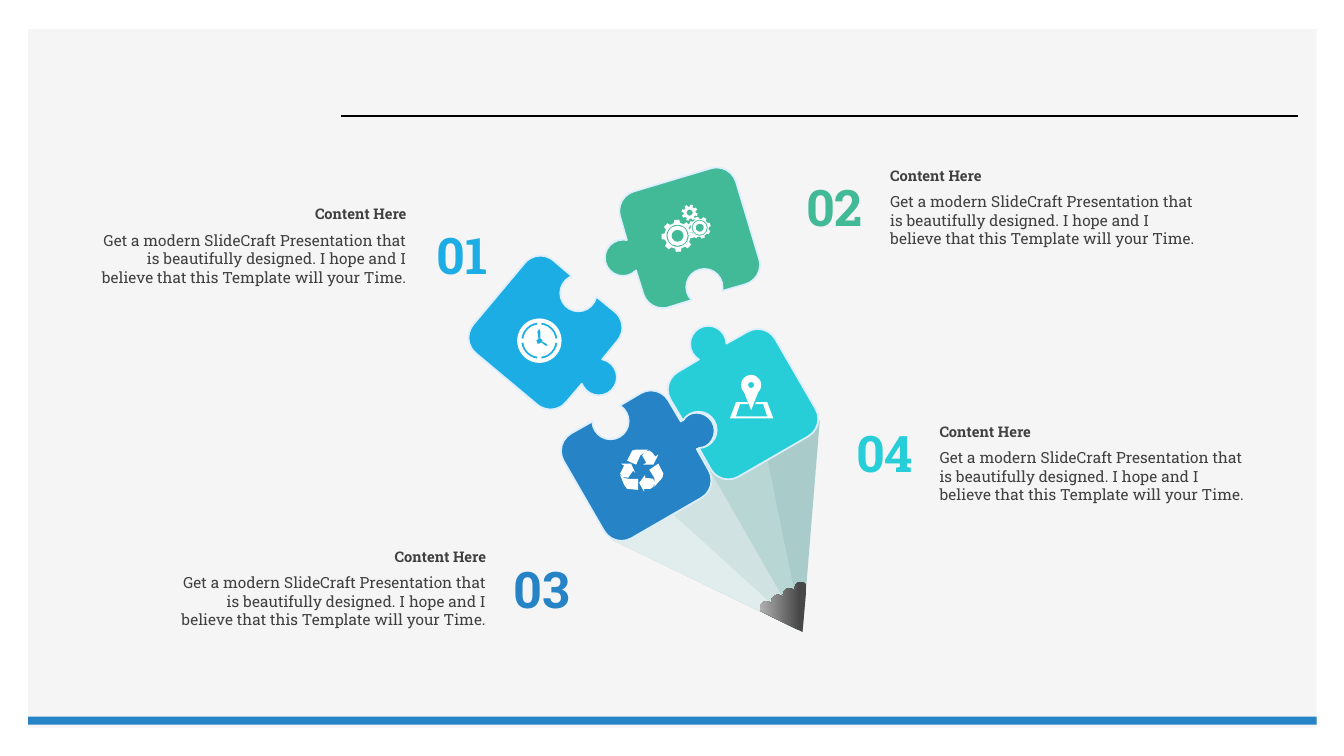
import math
import pptx
import pptx.util
import pptx.dml.color
import pptx.enum.shapes
import pptx.enum.text
import pptx.oxml

Inches, Pt = pptx.util.Inches, pptx.util.Pt
RGBColor = pptx.dml.color.RGBColor
ALIGN, ANCHOR = pptx.enum.text.PP_ALIGN, pptx.enum.text.MSO_ANCHOR
NS = 'xmlns:a="http://schemas.openxmlformats.org/drawingml/2006/main"'

WHITE = RGBColor(0xFF, 0xFF, 0xFF)
BLACK = RGBColor(0, 0, 0)
PANEL = RGBColor(0xF5, 0xF5, 0xF5)
INK = RGBColor(0x40, 0x40, 0x40)
EDGE = RGBColor(0xDD, 0xEF, 0xFF)
SKY = RGBColor(0x1C, 0xAD, 0xE4)
GREEN = RGBColor(0x42, 0xBA, 0x97)
BLUE = RGBColor(0x26, 0x83, 0xC6)
AQUA = RGBColor(0x27, 0xCE, 0xD7)
DARK = RGBColor(0x47, 0x47, 0x47)
LIGHT = RGBColor(0xB0, 0xB0, 0xB0)
FONT = "Roboto Slab"

HEAD = "Content Here"
BODY = ("Get a modern SlideCraft Presentation that is beautifully designed. "
        "I hope and I believe that this Template will your Time.")

# number, colour, piece centre, piece angle, number corner, text corner, text width, alignment
STEPS = [
    ("01", SKY, (5.41, 3.3), 39.9, (4.13, 2.17), (0.88, 1.98), 3.25, ALIGN.RIGHT),
    ("02", GREEN, (6.84, 2.36), 163.3, (7.82, 1.69), (8.73, 1.6), 3.22, ALIGN.LEFT),
    ("03", BLUE, (6.31, 4.62), -30, (4.92, 5.48), (1.67, 5.38), 3.25, ALIGN.RIGHT),
    ("04", AQUA, (7.37, 4.01), -120, (8.32, 4.13), (9.22, 4.14), 3.22, ALIGN.LEFT),
]
# Arcs of a piece with its tab to the right and notch on top: centre, radius, start, end
PIECE = [
    ((-0.4, -0.4), 0.2, 180, 270), ((0, -0.51), 0.18, 209, -29),
    ((0.4, -0.4), 0.2, 270, 360), ((0.69, 0), 0.18, 241, 479),
    ((0.4, 0.4), 0.2, 0, 90), ((-0.4, 0.4), 0.2, 90, 180),
]

# Pencil wood: far edge of each layer, from back to front
BASE, NEAR, TIP = (5.92, 5.08), (6.08, 5.36), (7.96, 6.27)
WOOD = [
    (RGBColor(0xA9, 0xCC, 0xCA), [(7.96, 3.9), (8.13, 4.18)]),
    (RGBColor(0xB8, 0xD6, 0xD4), [(7.46, 4.19), (7.58, 4.4)]),
    (RGBColor(0xD0, 0xE3, 0xE2), [(6.94, 4.49), (7.06, 4.7)]),
    (RGBColor(0xE0, 0xED, 0xEC), [(6.42, 4.79), (6.55, 4.99)]),
]

# Gears: centre, tip radius, root radius, tilt, inner circles
GEARS = [
    ((6.72, 2.34), 0.16, 0.13, -3, (0.11, 0.1, 0.06)),
    ((6.94, 2.26), 0.11, 0.09, -18, (0.08, 0.07, 0.04)),
    ((6.84, 2.11), 0.08, 0.06, 15, (0.03,)),
]
CLOCK = (5.35, 3.38)
HANDS = [(5.35, 3.26), (5.33, 3.29), (5.34, 3.36), (5.32, 3.38), (5.33, 3.41),
         (5.35, 3.41), (5.37, 3.4), (5.41, 3.43), (5.44, 3.43), (5.42, 3.41),
         (5.38, 3.39), (5.38, 3.37), (5.36, 3.36), (5.36, 3.29)]
PIN = (7.45, 3.82)
MAP = [(7.3, 3.99), (7.41, 3.99), (7.42, 4.01), (7.34, 4.01), (7.3, 4.13), (7.61, 4.13),
       (7.57, 4.01), (7.49, 4.01), (7.5, 3.99), (7.61, 3.99), (7.67, 4.15), (7.24, 4.15)]
CYCLE = [
    [(6.4, 4.71), (6.4, 4.74), (6.48, 4.75), (6.49, 4.79), (6.48, 4.83), (6.45, 4.85),
     (6.39, 4.85), (6.39, 4.88), (6.34, 4.79)],
    [(6.15, 4.71), (6.19, 4.74), (6.23, 4.75), (6.33, 4.75), (6.33, 4.86), (6.22, 4.85),
     (6.19, 4.81)],
    [(6.53, 4.6), (6.58, 4.7), (6.57, 4.74), (6.49, 4.83), (6.49, 4.74), (6.44, 4.66)],
    [(6.16, 4.6), (6.26, 4.6), (6.3, 4.69), (6.28, 4.67), (6.23, 4.74), (6.18, 4.73),
     (6.15, 4.7), (6.19, 4.62)],
    [(6.44, 4.47), (6.47, 4.49), (6.5, 4.53), (6.53, 4.51), (6.48, 4.61), (6.38, 4.61),
     (6.41, 4.59), (6.37, 4.52), (6.4, 4.48)],
    [(6.31, 4.46), (6.43, 4.46), (6.35, 4.52), (6.31, 4.61), (6.22, 4.57), (6.27, 4.47)],
]

deck = pptx.Presentation()
deck.slide_width, deck.slide_height = Inches(13.33), Inches(7.5)
slide = deck.slides.add_slide(deck.slide_layouts[6])
shapes = slide.shapes


def polar(mid, size, turn):
    rad = math.radians(turn)
    return mid[0] + size * math.cos(rad), mid[1] + size * math.sin(rad)


def arc(mid, size, start, end):
    # Split at each quarter turn, so that the nodes span the full extent
    low, high = min(start, end), max(start, end)
    cuts = [a for a in range(-360, 1080, 90) if low < a < high]
    turns = [start] + (cuts if end > start else cuts[::-1]) + [end]
    return [polar(mid, size, start)] + [
        (*polar(mid, size, b), size, a % 360, b - a) for a, b in zip(turns, turns[1:])]


def ring(mid, size):
    return arc(mid, size, 0, 360)


def draw(loops, fill=None):
    pen = None
    for loop in loops:
        dots = [(Inches(node[0]), Inches(node[1])) for node in loop]
        if pen is None:
            pen = shapes.build_freeform(*dots[0], scale=1.0)
        else:
            pen.move_to(*dots[0])
        pen.add_line_segments(dots[1:], close=True)
    shape = pen.convert_to_shape()
    # Nodes that carry a radius become true arcs
    steps = shape._element.xpath(".//a:moveTo | .//a:lnTo")
    for step, node in zip(steps, [node for loop in loops for node in loop]):
        if len(node) > 2:
            size, start, sweep = Inches(node[2]), round(node[3] * 60000), round(node[4] * 60000)
            step.getparent().replace(step, pptx.oxml.parse_xml(
                f'<a:arcTo {NS} wR="{size}" hR="{size}" stAng="{start}" swAng="{sweep}"/>'))
    shape.shadow.inherit = False
    shape.line.fill.background()
    if fill is not None:
        shape.fill.solid()
        shape.fill.fore_color.rgb = fill
    return shape


def piece(mid, turn):
    return [node for (x, y), size, start, end in PIECE
            for node in arc(polar(mid, math.hypot(x, y), math.degrees(math.atan2(y, x)) + turn),
                            size, start + turn, end + turn)]


def gear(mid, tip, root, tilt, holes):
    teeth = [polar(mid, size, tilt + 45 * i + turn) for i in range(8)
             for size, turn in ((root, -14), (tip, -9), (tip, 9), (root, 14))]
    return [teeth] + [ring(mid, size) for size in holes]


def bar(left, top, width, height, fill):
    box = shapes.add_shape(pptx.enum.shapes.MSO_SHAPE.RECTANGLE, Inches(left), Inches(top),
                           Inches(width), Inches(height))
    box.shadow.inherit = False
    box.fill.solid()
    box.fill.fore_color.rgb = fill
    box.line.fill.background()


def write(text, left, top, width, height, size, ink, bold, align, anchor=ANCHOR.MIDDLE):
    frame = shapes.add_textbox(Inches(left), Inches(top), Inches(width), Inches(height)).text_frame
    frame.word_wrap = True
    frame.vertical_anchor = anchor
    para = frame.paragraphs[0]
    para.text, para.alignment = text, align
    para.font.name, para.font.size, para.font.bold = FONT, Pt(size), bold
    para.font.color.rgb = ink


# Backdrop
bar(0.28, 0.29, 12.78, 6.93, PANEL)
rule = shapes.add_connector(pptx.enum.shapes.MSO_CONNECTOR.STRAIGHT,
                            Inches(3.38), Inches(1.15), Inches(12.87), Inches(1.15))
rule.line.color.rgb, rule.line.width = BLACK, Pt(1)
rule._element.spPr.append(pptx.oxml.parse_xml(f"<a:effectLst {NS}/>"))
bar(0.28, 7.11, 12.78, 0.08, BLUE)

# Pencil wood and lead
for fill, far in WOOD:
    draw([[BASE, *far, TIP, NEAR]], fill)
bumps = [node for i in range(4)
         for node in arc((7.6 + 0.115 * i, 6.03 - 0.065 * i), 0.065, 150, 330)]
lead = draw([bumps + [TIP]])
lead.fill.gradient()
lead.fill.gradient_angle = 180
for stop, tone, place in zip(lead.fill.gradient_stops, (DARK, LIGHT), (0.15, 1)):
    stop.color.rgb, stop.position = tone, place

# Puzzle pieces
for _, tone, mid, turn, *_ in STEPS:
    part = draw([piece(mid, turn)], tone)
    part.line.color.rgb, part.line.width = EDGE, Pt(1.25)

# Numbers and texts
for label, tone, _, _, spot, (left, top), width, align in STEPS:
    write(label, *spot, 0.91, 0.71, 36, tone, True, ALIGN.CENTER)
    write(HEAD, left, top, width, 0.28, 10.5, INK, True, align)
    write(BODY, left, top + 0.26, width, 0.66, 11, INK, False, align, ANCHOR.TOP)

# Icons: gears, map pin, recycling arrows, clock
draw([loop for item in GEARS for loop in gear(*item)], WHITE)
draw([MAP, arc(PIN, 0.1, 135, 405) + [(7.45, 4.07)], ring(PIN, 0.03)], WHITE)
draw(CYCLE, WHITE)
bands = [arc(CLOCK, 0.18, a + 7, a + 83) + arc(CLOCK, 0.16, a + 83, a + 7)
         for a in range(0, 360, 90)]
draw([ring(CLOCK, 0.22), *bands, HANDS], WHITE)

deck.save("out.pptx")
